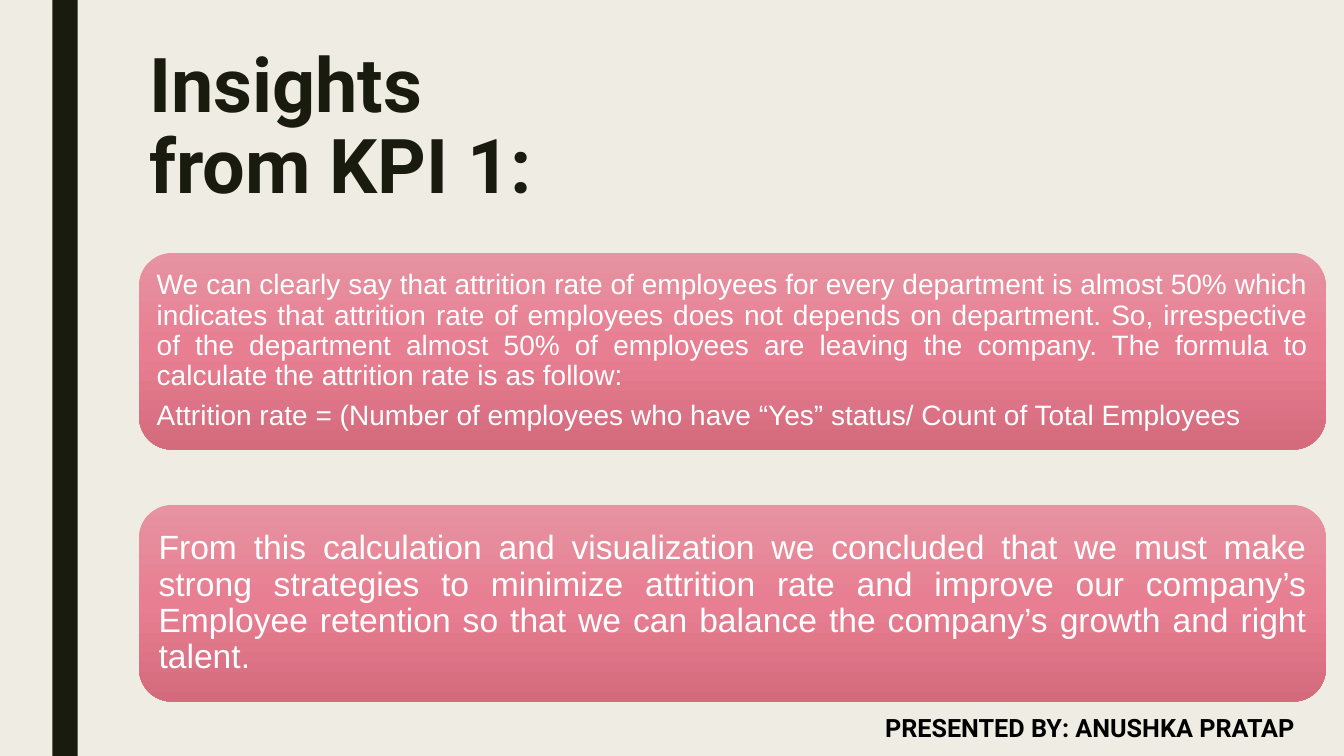
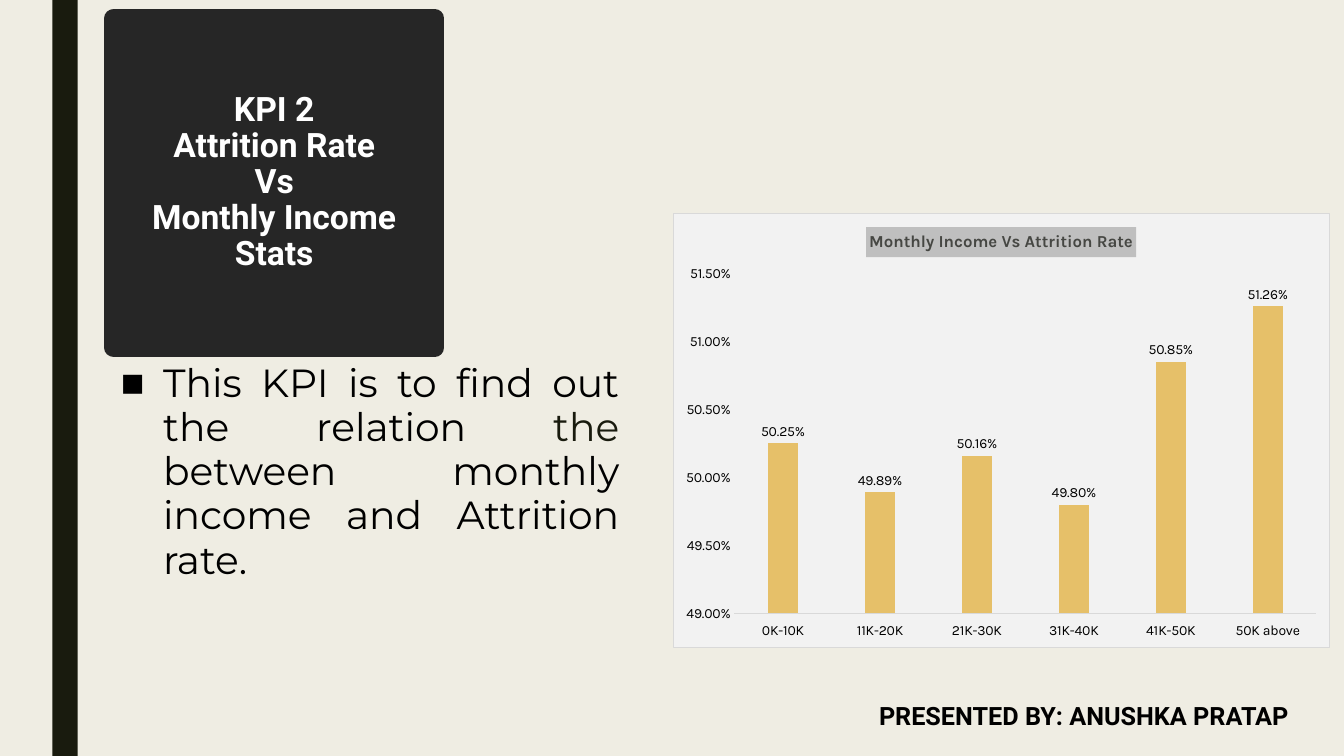
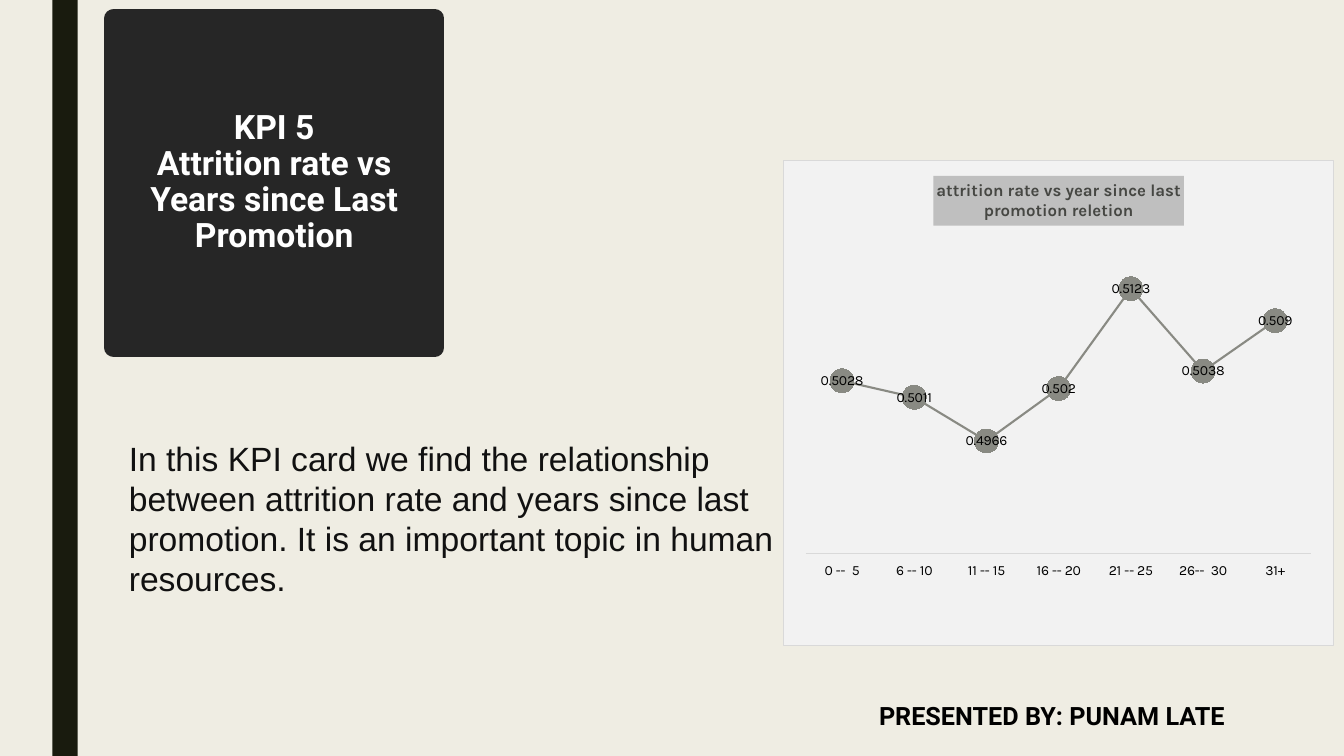
"""Build three slides on employee attrition indicators."""
from copy import deepcopy

from lxml.etree import SubElement
from pptx import Presentation
from pptx.chart.data import CategoryChartData
from pptx.dml.color import RGBColor
from pptx.enum.chart import XL_CHART_TYPE, XL_LABEL_POSITION, XL_MARKER_STYLE, XL_TICK_LABEL_POSITION, XL_TICK_MARK
from pptx.enum.shapes import MSO_SHAPE
from pptx.enum.text import MSO_ANCHOR, MSO_AUTO_SIZE, PP_ALIGN
from pptx.oxml import parse_xml
from pptx.oxml.ns import nsdecls, qn
from pptx.util import Inches, Pt

WIDE, HIGH = 13.33, 7.5
HUES = {
    "page": "EFEDE3", "ink": "191B0E", "disc": "262626", "white": "FFFFFF",
    "black": "000000", "text": "111111", "gold": "E6C069", "gray": "898A83",
    "panel": "F2F2F2", "rule": "D9D9D9", "label": "464743", "plate": "BFBFBF",
    "rose1": "E793A2", "rose2": "E77E91", "rose3": "D36B7D",
}
HEAD = {"size": 54, "name": "Roboto", "hue": "ink", "bold": True}
DISC = {"size": 24, "name": "Roboto", "hue": "white", "bold": True}
FOOT = {"size": 18, "name": "Roboto", "hue": "black", "bold": True}
BODY = {"size": 28, "name": "Montserrat", "hue": "black"}
NOTE = {"size": 24, "name": "Arial", "hue": "text"}
CARD = {"name": "Arial", "hue": "white"}
TICK = {"size": 10, "name": "Karla", "hue": "black"}
CAP = {"size": 12, "name": "Karla", "hue": "label", "bold": True}

CARDS = [
    (20, 0.08, [
        "We can clearly say that attrition rate of employees for every department is almost 50% which "
        "indicates that attrition rate of employees does not depends on department. So, irrespective "
        "of the department almost 50% of employees are leaving the company. The formula to calculate "
        "the attrition rate is as follow:",
        "Attrition rate = (Number of employees who have “Yes” status/ Count of Total Employees"]),
    (24, 0.1, [
        "From this calculation and visualization we concluded that we must make strong strategies to "
        "minimize attrition rate and improve our company’s Employee retention so that we can balance "
        "the company’s growth and right talent."]),
]
GOAL = [("This KPI is to find out the relation ", "black"), ("the ", "ink"),
        ("between monthly income and Attrition rate.", "black")]
TOPIC = ("In this KPI card we find the relationship between attrition rate and years since last "
         "promotion. It is an important topic in human resources.")
INCOME = {
    "title": "Monthly Income Vs Attrition Rate",
    "kind": XL_CHART_TYPE.COLUMN_CLUSTERED, "at": (6.67, 2.11, 6.52, 4.32),
    "data": {"0K-10K": 0.5025, "11K-20K": 0.4989, "21K-30K": 0.5016,
             "31K-40K": 0.498, "41K-50K": 0.5085, "50K above": 0.5126},
    "axis": {"minimum_scale": 0.49, "maximum_scale": 0.515, "major_unit": 0.005},
    "form": "0.00%", "spot": XL_LABEL_POSITION.OUTSIDE_END,
}
YEARS = {
    "title": "attrition rate vs year since last\npromotion reletion",
    "kind": XL_CHART_TYPE.LINE_MARKERS, "at": (7.77, 1.59, 5.46, 4.82),
    "data": {"0 --  5": 0.5028, "6 -- 10": 0.5011, "11 -- 15": 0.4966, "16 -- 20": 0.502,
             "21 -- 25": 0.5123, "26--  30": 0.5038, "31+": 0.509},
    "axis": {"minimum_scale": 0.485, "maximum_scale": 0.515, "visible": False},
    "form": "General", "spot": XL_LABEL_POSITION.CENTER,
    "plot": {"x": 0.04, "y": 0.21, "w": 0.92, "h": 0.6},
}


def put(item, vals):
    """Set attributes from a dict."""
    for key, val in vals.items():
        setattr(item, key, val)


def rgb(hue):
    """Look up a named colour."""
    return RGBColor.from_string(HUES[hue])


def paint(fill, hue):
    """Make a fill solid."""
    fill.solid()
    fill.fore_color.rgb = rgb(hue)


def style(font, look):
    """Apply a text look to a font."""
    vals = {key: val for key, val in look.items() if key != "hue"}
    put(font, {**vals, "size": Pt(look["size"])})
    font.color.rgb = rgb(look["hue"])


def place(item, at):
    """Move and size a shape."""
    put(item, dict(zip(("left", "top", "width", "height"), map(Inches, at))))


def write(frame, paras, look, **form):
    """Fill a text frame with paragraphs."""
    frame.word_wrap = True
    frame.text = "\n".join(paras)
    for para in frame.paragraphs:
        put(para, form)
        for run in para.runs:
            style(run.font, look)


def box(slide, at):
    """Add a text box."""
    return slide.shapes.add_textbox(*map(Inches, at)).text_frame


def foot(slide, name, left=8.62, top=6.9):
    """Add the presenter line."""
    frame = box(slide, (left, top, 4.47, 0.4))
    write(frame, ["PRESENTED BY: " + name], FOOT)
    frame.auto_size = MSO_AUTO_SIZE.SHAPE_TO_FIT_TEXT


def head(slide, at, lines, look, align, anchor):
    """Format the title placeholder."""
    title = slide.shapes.title
    place(title, at)
    put(title.text_frame, {"auto_size": MSO_AUTO_SIZE.NONE, "vertical_anchor": anchor})
    write(title.text_frame, lines, look, alignment=align, line_spacing=0.89)
    return title


def disc(slide, lines):
    """Turn the title into a dark disc."""
    title = head(slide, (1.13, 0.18, 3.18, 3.27), lines, DISC, PP_ALIGN.CENTER, MSO_ANCHOR.MIDDLE)
    geom = SubElement(title.element.spPr, qn("a:prstGeom"), prst="ellipse")
    SubElement(geom, qn("a:avLst"))
    paint(title.fill, "disc")
    paint(title.line.fill, "disc")
    title.line.width = Pt(13.75)


def card(slide, row, size, pad, paras):
    """Add a rose card with its text."""
    shape = slide.shapes.add_shape(
        MSO_SHAPE.ROUNDED_RECTANGLE, *map(Inches, (1.38, 2.51 + 2.5 * row, 11.77, 1.95)))
    shape.shadow.inherit = False
    shape.line.fill.background()
    shape.fill.gradient()
    shape.fill.gradient_angle = 270
    first = shape.element.spPr.find(".//" + qn("a:gs"))
    first.addnext(deepcopy(first))
    for step, stop in enumerate(shape.fill.gradient_stops):
        stop.position = step / 2
        stop.color.rgb = rgb(f"rose{step + 1}")
    frame = shape.text_frame
    put(frame, {f"margin_{side}": Inches(pad) for side in ("left", "right", "top", "bottom")})
    frame.vertical_anchor = MSO_ANCHOR.MIDDLE
    write(frame, paras, {**CARD, "size": size}, alignment=PP_ALIGN.JUSTIFY,
          line_spacing=0.9, space_after=Pt(size * 0.35))


def goal(slide):
    """Add the bulleted aim."""
    frame = box(slide, (1.1, 3.54, 5.14, 2.89))
    frame.word_wrap = True
    para = frame.paragraphs[0]
    put(para, {"alignment": PP_ALIGN.JUSTIFY, "line_spacing": 0.94, "space_after": Pt(2)})
    props = para._p.get_or_add_pPr()
    put_in = Inches(0.42)
    props.set("marL", str(put_in))
    props.set("indent", str(-put_in))
    SubElement(props, qn("a:buFont"), typeface="Arial")
    SubElement(props, qn("a:buChar"), char="■")
    for text, hue in GOAL:
        run = para.add_run()
        run.text = text
        style(run.font, {**BODY, "hue": hue})


def graph(slide, info):
    """Add a chart and return its plot."""
    data = CategoryChartData(number_format=info["form"])
    data.categories = list(info["data"])
    data.add_series("Series 1", list(info["data"].values()))
    chart = slide.shapes.add_chart(info["kind"], *map(Inches, info["at"]), data).chart
    chart.has_legend = False
    style(chart.font, TICK)
    chart.font._element.getparent().getparent()
    area = parse_xml(
        f'<c:spPr {nsdecls("c", "a")}><a:solidFill><a:srgbClr val="{HUES["panel"]}"/></a:solidFill>'
        f'<a:ln w="9525"><a:solidFill><a:srgbClr val="{HUES["rule"]}"/></a:solidFill></a:ln></c:spPr>')
    chart.element.find(qn("c:txPr")).addprevious(area)
    title = chart.chart_title
    write(title.text_frame, info["title"].split("\n"), CAP)
    paint(title.format.fill, "plate")
    title.include_in_layout = False
    cat, val = chart.category_axis, chart.value_axis
    for axis in (cat, val):
        put(axis, {"major_tick_mark": XL_TICK_MARK.NONE, "minor_tick_mark": XL_TICK_MARK.NONE,
                   "has_major_gridlines": False})
        style(axis.tick_labels.font, TICK)
    cat.tick_label_position = XL_TICK_LABEL_POSITION.LOW
    paint(cat.format.line.fill, "rule")
    cat.format.line.width = Pt(0.75)
    val.format.line.fill.background()
    put(val, info["axis"])
    put(val.tick_labels, {"number_format": info["form"], "number_format_is_linked": False})
    plot = chart.plots[0]
    put(plot, {"vary_by_categories": False, "has_data_labels": True})
    put(plot.data_labels, {"show_value": True, "position": info["spot"],
                           "number_format": info["form"], "number_format_is_linked": False})
    style(plot.data_labels.font, TICK)
    if "plot" in info:
        inner = chart.element.find(".//" + qn("c:plotArea"))
        for old in inner.findall(qn("c:layout")):
            inner.remove(old)
        parts = {"layoutTarget": "inner", "xMode": "edge", "yMode": "edge", **info["plot"]}
        body = "".join(f'<c:{key} val="{val}"/>' for key, val in parts.items())
        inner.insert(0, parse_xml(
            f'<c:layout {nsdecls("c")}><c:manualLayout>{body}</c:manualLayout></c:layout>'))
    return plot


def base(deck):
    """Give the master its ground and side bar, and return three slides."""
    master = deck.slide_master
    paint(master.background.fill, "page")
    slides = [deck.slides.add_slide(deck.slide_layouts[5]) for _ in range(3)]
    bar = slides[0].shapes.add_shape(MSO_SHAPE.RECTANGLE, *map(Inches, (0.52, 0, 0.25, HIGH)))
    bar.shadow.inherit = False
    paint(bar.fill, "ink")
    bar.line.fill.background()
    master.shapes.element.insert(2, bar.element)
    return slides


def main():
    """Build and save the deck."""
    deck = Presentation()
    put(deck, {"slide_width": Inches(WIDE), "slide_height": Inches(HIGH)})
    tips, pay, wait = base(deck)

    head(tips, (1.38, 0.43, 4.61, 1.75), ["Insights from KPI 1:"], HEAD, PP_ALIGN.LEFT, MSO_ANCHOR.TOP)
    for row, parts in enumerate(CARDS):
        card(tips, row, *parts)
    foot(tips, "ANUSHKA PRATAP", 8.68, 7.02)

    disc(pay, ["KPI 2", "Attrition Rate", "Vs", "Monthly Income Stats"])
    goal(pay)
    plot = graph(pay, INCOME)
    put(plot, {"gap_width": 219, "overlap": -27})
    paint(plot.series[0].format.fill, "gold")
    foot(pay, "ANUSHKA PRATAP")

    disc(wait, ["KPI 5", "Attrition rate vs Years since Last Promotion"])
    line = graph(wait, YEARS).series[0]
    line.smooth = False
    paint(line.format.line.fill, "gray")
    line.format.line.width = Pt(1.5)
    put(line.marker, {"style": XL_MARKER_STYLE.CIRCLE, "size": 17})
    paint(line.marker.format.fill, "gray")
    line.marker.format.line.fill.background()
    frame = box(wait, (1.18, 4.29, 6.67, 1.72))
    write(frame, [TOPIC], NOTE)
    frame.auto_size = MSO_AUTO_SIZE.SHAPE_TO_FIT_TEXT
    foot(wait, "PUNAM LATE")

    deck.save("out.pptx")


if __name__ == "__main__":
    main()
